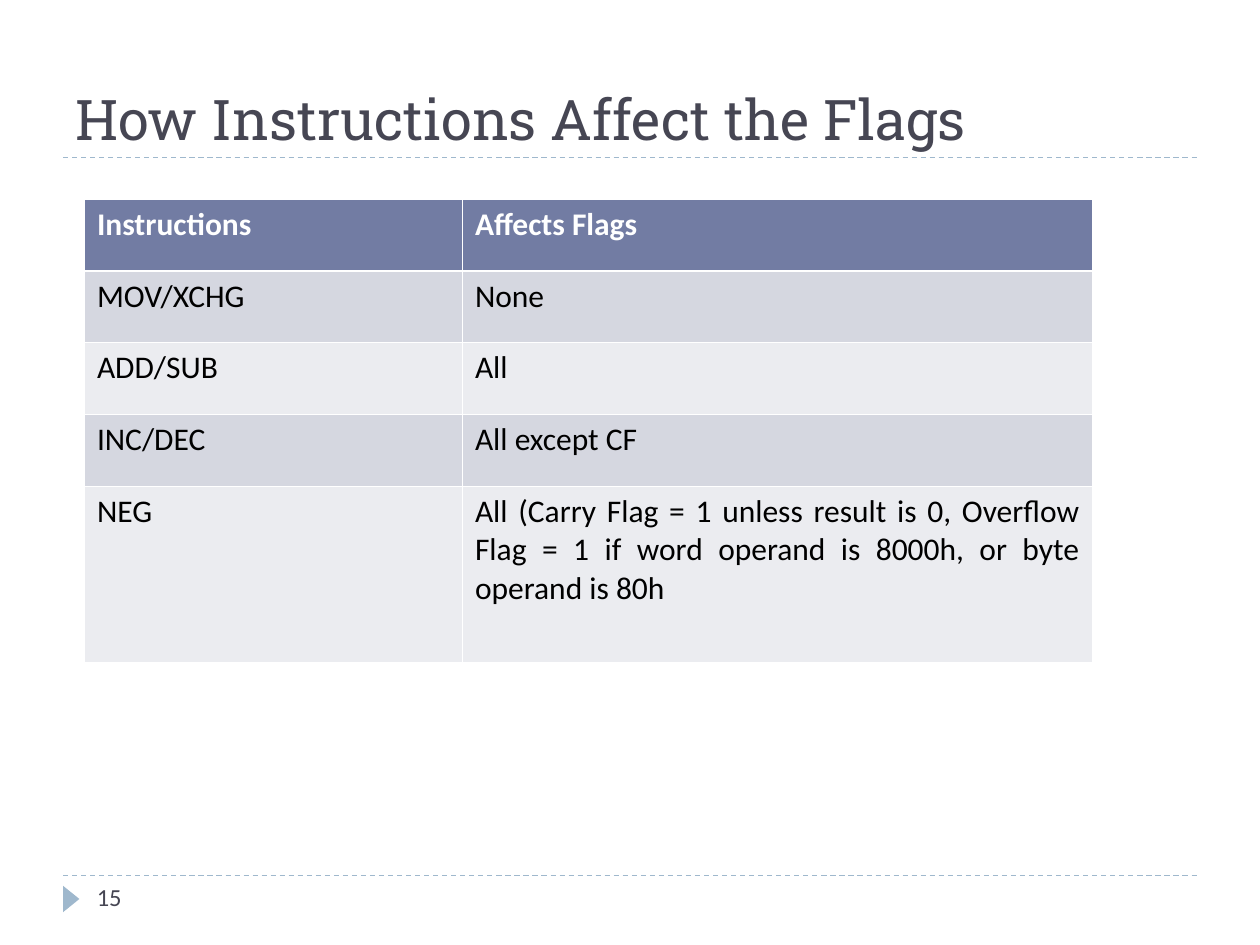
from lxml import etree
from pptx import Presentation
from pptx.dml.color import RGBColor
from pptx.enum.dml import MSO_LINE
from pptx.enum.shapes import MSO_CONNECTOR, MSO_SHAPE
from pptx.enum.text import MSO_ANCHOR, PP_ALIGN
from pptx.oxml.ns import qn
from pptx.util import Inches, Pt

DASH = MSO_LINE.DASH
STRAIGHT = MSO_CONNECTOR.STRAIGHT
TRIANGLE = MSO_SHAPE.ISOSCELES_TRIANGLE
TOP, BOTTOM = MSO_ANCHOR.TOP, MSO_ANCHOR.BOTTOM
LEFT, JUSTIFY = PP_ALIGN.LEFT, PP_ALIGN.JUSTIFY

TITLE = "How Instructions Affect the Flags"
PAGE = "15"
ROWS = [
    ("Instructions", "Affects Flags"),
    ("MOV/XCHG", "None"),
    ("ADD/SUB", "All"),
    ("INC/DEC", "All except CF"),
    ("NEG", "All (Carry Flag = 1 unless result is 0, Overflow Flag = 1 "
            "if word operand is 8000h, or byte operand is 80h"),
]
COL_WIDTHS = [3, 5]
ROW_HEIGHTS = [0.57] * 4 + [1.4]
RULES_Y = [6.95, 1.25]
COLORS = {"ink": "464653", "accent": "9FB8CD", "header": "727CA3",
          "odd": "D5D7E0", "even": "EBECF0", "white": "FFFFFF", "black": "000000"}
HEAD_FONT, BODY_FONT = "Roboto Slab", "Calibri"
THIN, THICK = 0.45, 1.47


def rgb(name):
    return RGBColor.from_string(COLORS[name])


def set_font(p, name, size, color, bold=False):
    p.font.name, p.font.size, p.font.bold = name, Pt(size), bold
    p.font.color.rgb = rgb(color)


def add_text(slide, box, text, font, size, anchor):
    tf = slide.shapes.add_textbox(*map(Inches, box)).text_frame
    tf.word_wrap = True
    tf.vertical_anchor = anchor
    p = tf.paragraphs[0]
    p.text = text
    set_font(p, font, size, "ink")


def add_rule(slide, y):
    line = slide.shapes.add_connector(
        STRAIGHT, Inches(0.5), Inches(y), Inches(9.5), Inches(y))
    line.line.color.rgb = rgb("accent")
    line.line.width = Pt(0.75)
    line.line.dash_style = DASH
    etree.SubElement(line._element.spPr, qn("a:effectLst"))


def set_borders(cell, row):
    widths = {"L": THIN, "R": THIN, "T": THICK if row == 1 else THIN,
              "B": THICK if row == 0 else THIN}
    tcPr = cell._tc.get_or_add_tcPr()
    for side, width in widths.items():
        ln = etree.SubElement(tcPr, qn(f"a:ln{side}"), w=str(Pt(width)))
        fill = etree.SubElement(ln, qn("a:solidFill"))
        etree.SubElement(fill, qn("a:srgbClr"), val=COLORS["white"])


def add_flag_table(slide):
    table = slide.shapes.add_table(
        len(ROWS), len(COL_WIDTHS), Inches(0.67), Inches(1.58),
        Inches(sum(COL_WIDTHS)), Inches(sum(ROW_HEIGHTS))).table
    for column, width in zip(table.columns, COL_WIDTHS):
        column.width = Inches(width)
    for i, (texts, height) in enumerate(zip(ROWS, ROW_HEIGHTS)):
        table.rows[i].height = Inches(height)
        fill = "header" if i == 0 else "odd" if i % 2 else "even"
        for j, text in enumerate(texts):
            cell = table.cell(i, j)
            set_borders(cell, i)
            cell.fill.solid()
            cell.fill.fore_color.rgb = rgb(fill)
            p = cell.text_frame.paragraphs[0]
            p.text = text
            p.alignment = JUSTIFY if (i, j) == (4, 1) else LEFT
            set_font(p, BODY_FONT, 18, "black" if i else "white", i == 0)


def main():
    prs = Presentation()
    prs.slide_width, prs.slide_height = Inches(10), Inches(7.5)
    slide = prs.slides.add_slide(prs.slide_layouts[6])
    for y in RULES_Y:
        add_rule(slide, y)
    marker = slide.shapes.add_shape(
        TRIANGLE, Inches(0.46), Inches(7.07), Inches(0.21), Inches(0.13))
    marker.rotation = 90
    marker.shadow.inherit = False
    marker.fill.solid()
    marker.fill.fore_color.rgb = rgb("accent")
    marker.line.fill.background()
    add_text(slide, (0.5, 0.17, 9, 1.08), TITLE, HEAD_FONT, 32, BOTTOM)
    add_text(slide, (0.67, 6.95, 2.17, 0.4), PAGE, BODY_FONT, 14, TOP)
    add_flag_table(slide)
    prs.save("out.pptx")


if __name__ == "__main__":
    main()
